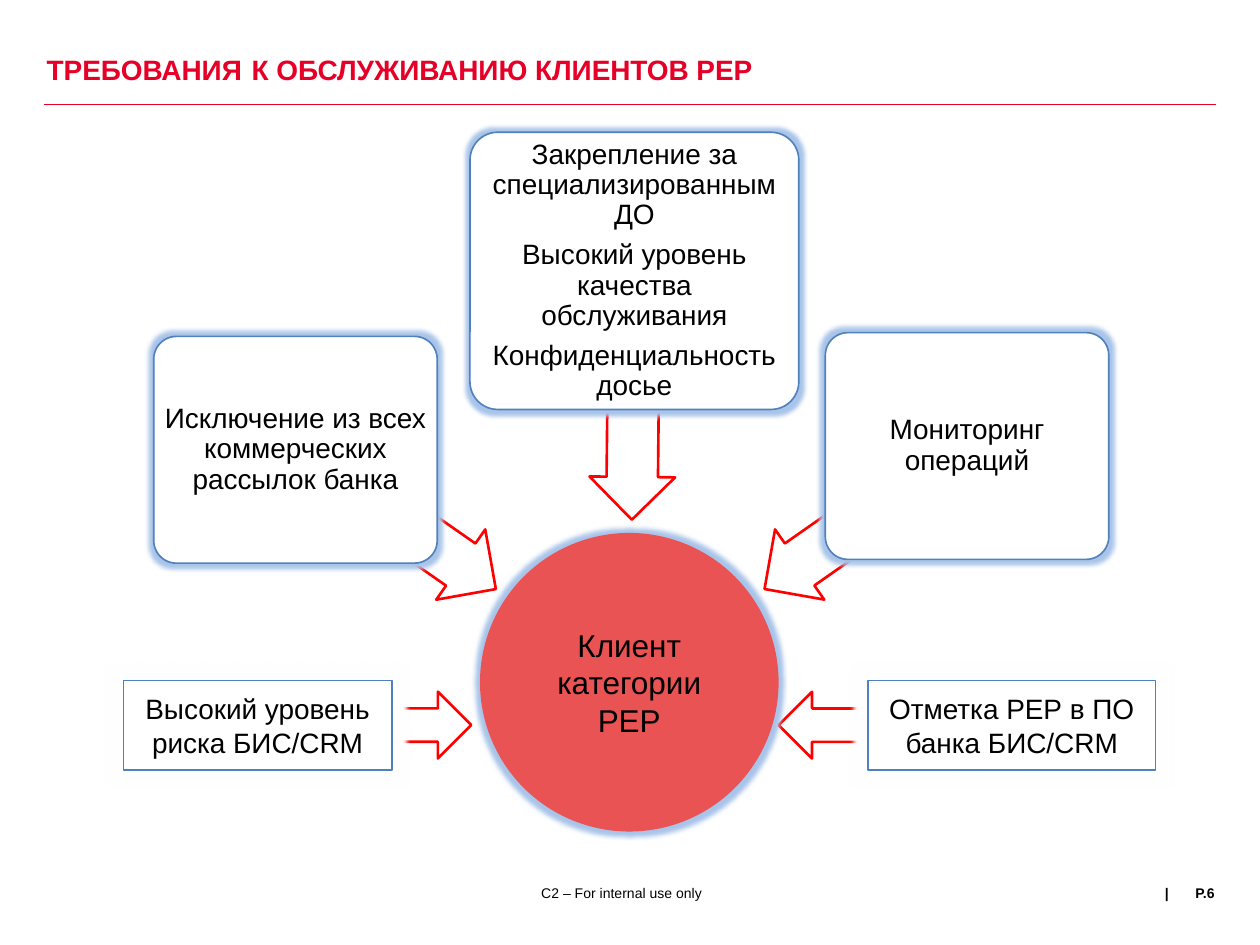
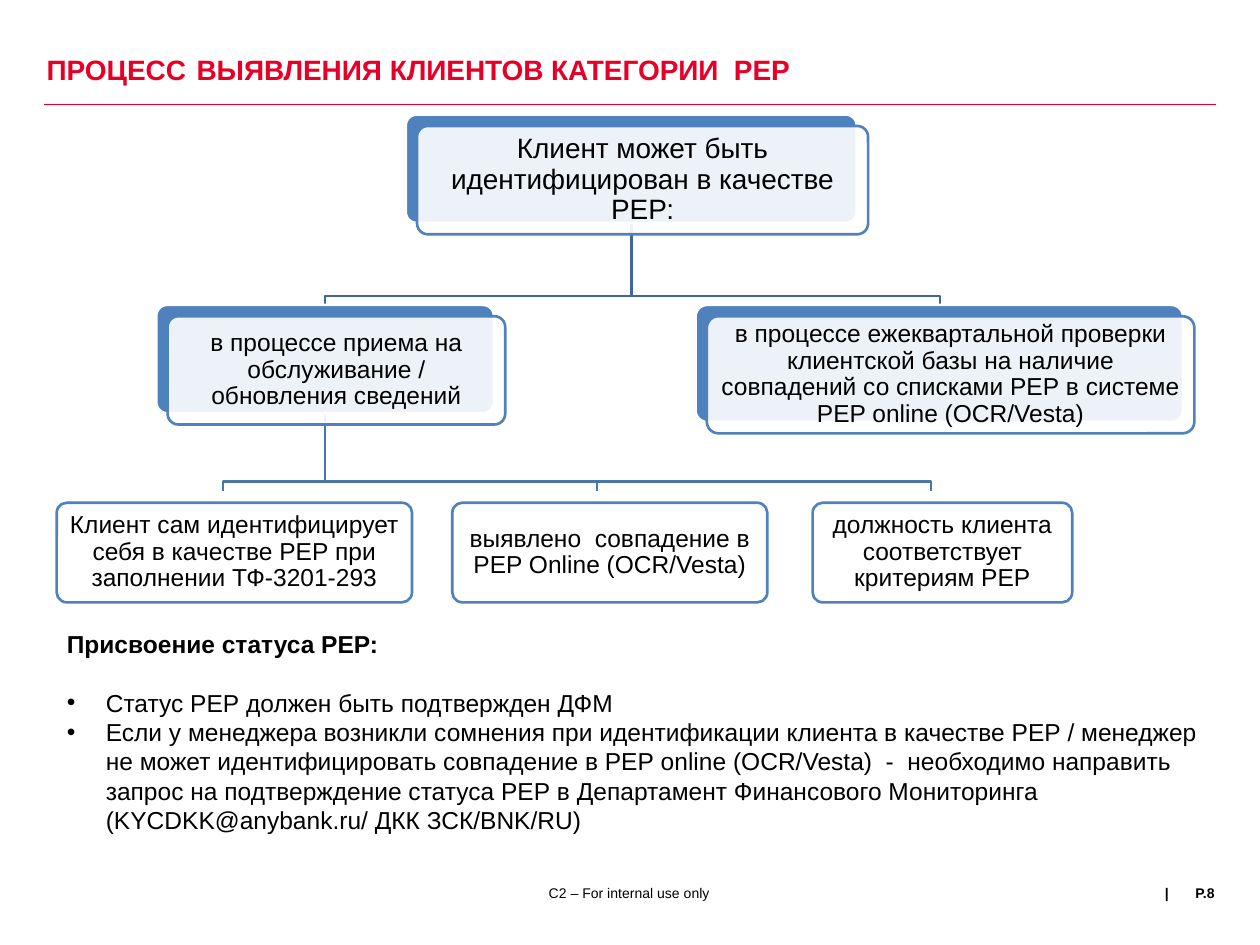
from dataclasses import dataclass

from lxml import etree
from pptx import Presentation
from pptx import util as u
from pptx.dml import color
from pptx.enum import shapes, text
from pptx.oxml import ns

SHAPE = shapes.MSO_SHAPE
ALIGN = text.PP_ALIGN
ANCHOR = text.MSO_ANCHOR


@dataclass(frozen=True)
class Theme:
    font: str = "Arial"
    red: str = "E60028"
    arrow_red: str = "FF0000"
    client_red: str = "E95353"
    blue: str = "4F81BD"
    trunk_blue: str = "3F6797"
    branch_blue: str = "4875AC"
    glow_blue: str = "A9C4E9"
    white: str = "FFFFFF"
    black: str = "000000"
    title_size: float = 16
    title_gap_size: float = 24
    client_size: float = 18
    large_size: float = 16
    body_size: float = 14
    footer_size: float = 8
    thin: float = 0.94
    thick: float = 1.5


THEME = Theme()


def rgb(value):
    return color.RGBColor.from_string(value)


def add_xml(parent, tag, **attributes):
    return etree.SubElement(parent, ns.qn(tag), **attributes)


def place(shape, left, top, width, height):
    shape.left, shape.top = u.Inches(left), u.Inches(top)
    shape.width, shape.height = u.Inches(width), u.Inches(height)


def add_run(paragraph, content, size, ink=THEME.black, bold=False, font=THEME.font):
    run = paragraph.add_run()
    run.text = content
    run.font.name, run.font.size, run.font.bold = font, u.Pt(size), bold
    run.font.color.rgb = rgb(ink)


def write_text(frame, *lines, size=THEME.body_size, ink=THEME.black, bold=False,
               align=ALIGN.CENTER, anchor=ANCHOR.MIDDLE, inset=(0, 0),
               spacing=1.0, gap=0, wrap=True):
    """Fill a frame, one paragraph a line, with gap points between paragraphs."""
    frame.word_wrap = wrap
    frame.auto_size = text.MSO_AUTO_SIZE.NONE
    frame.vertical_anchor = anchor
    frame.margin_left = frame.margin_right = u.Inches(inset[0])
    frame.margin_top = frame.margin_bottom = u.Inches(inset[1])
    for index, line in enumerate(lines):
        paragraph = frame.add_paragraph() if index else frame.paragraphs[0]
        paragraph.alignment, paragraph.line_spacing = align, spacing
        paragraph.space_before = u.Pt(0)
        paragraph.space_after = u.Pt(gap if index < len(lines) - 1 else 0)
        add_run(paragraph, line, size, ink, bold)


def set_bullet(paragraph, indent=0.31):
    properties = paragraph._p.get_or_add_pPr()
    properties.set("marL", str(u.Inches(indent)))
    properties.set("indent", str(-u.Inches(indent)))
    add_xml(properties, "a:buFont", typeface=THEME.font)
    add_xml(properties, "a:buChar", char="•")


def clear_bullet(paragraph):
    properties = paragraph._p.get_or_add_pPr()
    properties.set("marL", "0")
    properties.set("indent", "0")
    add_xml(properties, "a:buNone")


class Deck:
    def __init__(self, theme):
        self.theme = theme
        self.presentation = Presentation()
        self.presentation.slide_width = u.Inches(10)
        self.presentation.slide_height = u.Inches(7.5)
        self.slide = None

    def start_slide(self, layout, first_word, rest, gap_font, page, footer_left):
        """Add a slide with its title, red rule and footer."""
        theme = self.theme
        self.slide = self.presentation.slides.add_slide(
            self.presentation.slide_layouts[layout])
        self.rule(0.35, 9.65, 0.83)
        title = self.slide.shapes.title
        place(title, 0.37, 0.28, 8.56, 0.55)
        write_text(title.text_frame, first_word, size=theme.title_size, ink=theme.red,
                   bold=True, align=ALIGN.LEFT, spacing=0.7)
        paragraph = title.text_frame.paragraphs[0]
        add_run(paragraph, " ", theme.title_gap_size, theme.blue, True, gap_font)
        add_run(paragraph, rest, theme.title_size, theme.red, True)
        self.footer("|", 9.22, 0.08, bold=True, wrap=False)
        self.footer(page, 9.25, 0.39, bold=True, align=ALIGN.RIGHT)
        self.footer("C2 – For internal use only", footer_left, 3.93)

    def footer(self, content, left, width, **style):
        box = self.slide.shapes.add_textbox(0, 0, 0, 0)
        place(box, left, 7.02, width, 0.48)
        write_text(box.text_frame, content, size=self.theme.footer_size,
                   anchor=ANCHOR.TOP, **style)

    def rule(self, left, right, top):
        line = self.slide.shapes.add_connector(
            shapes.MSO_CONNECTOR.STRAIGHT,
            u.Inches(right), u.Inches(top), u.Inches(left), u.Inches(top))
        line.line.color.rgb = rgb(self.theme.red)
        line.line.width = u.Pt(0.5)
        add_xml(line._element.spPr, "a:effectLst")

    def shape(self, kind, bounds, fill=THEME.white, line=None, width=THEME.thick,
              adjustments=(), rotation=0, opacity=100, glow=None):
        shape = self.slide.shapes.add_shape(kind, 0, 0, 0, 0)
        place(shape, *bounds)
        shape.rotation = rotation
        for index, value in enumerate(adjustments):
            shape.adjustments[index] = value
        shape.fill.solid()
        shape.fill.fore_color.rgb = rgb(fill)
        if opacity < 100:
            fill_color = shape._element.spPr.find(ns.qn("a:solidFill"))[0]
            add_xml(fill_color, "a:alpha", val=str(opacity * 1000))
        if line:
            shape.line.color.rgb = rgb(line)
            shape.line.width = u.Pt(width)
        else:
            shape.line.fill.background()
        shape.shadow.inherit = False
        if glow:
            effects = shape._element.spPr.find(ns.qn("a:effectLst"))
            halo = add_xml(effects, "a:glow", rad=str(u.Inches(0.07)))
            add_xml(halo, "a:srgbClr", val=glow)
        return shape

    def arrow(self, kind, bounds, rotation=0, adjustments=()):
        self.shape(kind, bounds, line=self.theme.arrow_red, rotation=rotation,
                   adjustments=adjustments)

    def requirement(self, bounds, *lines):
        """Draw a glowing rounded box with centred text."""
        box = self.shape(SHAPE.ROUNDED_RECTANGLE, bounds, line=self.theme.blue,
                         width=self.theme.thin, adjustments=[0.1],
                         glow=self.theme.glow_blue)
        write_text(box.text_frame, *lines, size=self.theme.large_size,
                   inset=(0.03, 0.03), spacing=0.9, gap=5.6)

    def label(self, bounds, content):
        box = self.shape(SHAPE.RECTANGLE, bounds, line=self.theme.blue,
                         width=self.theme.thin, glow=self.theme.white)
        write_text(box.text_frame, content, size=self.theme.large_size, inset=(0.1, 0.05))

    def card(self, bounds, content, size=THEME.body_size, inset=0.06, backed=True):
        """Draw a tree node; a backed one has a blue plate behind it."""
        left, top, width, height = bounds
        if backed:
            self.shape(SHAPE.ROUNDED_RECTANGLE, (left - 0.09, top - 0.09, width, height),
                       fill=self.theme.blue, line=self.theme.white, adjustments=[0.1])
        front = self.shape(SHAPE.ROUNDED_RECTANGLE, bounds, line=self.theme.blue,
                           adjustments=[0.1], opacity=90)
        write_text(front.text_frame, content, size=size, inset=(inset, inset), spacing=0.9)

    def branch(self, start, end, ink):
        """Draw a bent line that turns shortly above its end."""
        turn = end[1] - 0.08
        points = [(start[0], turn), (end[0], turn), end]
        builder = self.slide.shapes.build_freeform(*map(u.Inches, start))
        builder.add_line_segments([tuple(map(u.Inches, point)) for point in points],
                                  close=False)
        line = builder.convert_to_shape()
        line.fill.background()
        line.line.color.rgb = rgb(ink)
        line.line.width = u.Pt(self.theme.thick)
        line.shadow.inherit = False

    def bullets(self, bounds, heading, *items):
        body = self.slide.placeholders[1]
        place(body, *bounds)
        write_text(body.text_frame, heading, *items, size=self.theme.body_size,
                   align=ALIGN.LEFT, anchor=ANCHOR.TOP, inset=(0.1, 0.05))
        first, *others = body.text_frame.paragraphs
        first.runs[0].font.bold = True
        first.space_after = u.Pt(self.theme.body_size * 1.2)
        clear_bullet(first)
        for paragraph in others:
            set_bullet(paragraph)


def build_requirements(deck):
    theme = deck.theme
    deck.start_slide(5, "ТРЕБОВАНИЯ", "К ОБСЛУЖИВАНИЮ КЛИЕНТОВ РЕР", "Arial Narrow",
                     "P.6", 2.97)
    for left, rotation in ((2.95, 0), (6.18, 180)):
        deck.arrow(SHAPE.RIGHT_ARROW, (left, 5.49, 0.79, 0.53), rotation)

    client = deck.shape(SHAPE.OVAL, (3.81, 4.23, 2.37, 2.37), fill=theme.client_red,
                        glow=theme.glow_blue)
    write_text(client.text_frame, "Клиент категории РЕР", size=theme.client_size,
               inset=(0.01, 0.01))

    requirements = (
        ((2.17, 3.78, 1.94, 0.68), 214.9, (1.22, 2.67, 2.25, 1.8),
         ["Исключение из всех коммерческих рассылок банка"]),
        ((4.04, 2.8, 1.97, 0.68), 270.6, (3.73, 1.05, 2.61, 2.2),
         ["Закрепление за специализированным ДО",
          "Высокий уровень качества обслуживания",
          "Конфиденциальность досье"]),
        ((5.89, 3.77, 1.97, 0.68), 325, (6.55, 2.64, 2.25, 1.8),
         ["Мониторинг операций"]),
    )
    for arrow_bounds, rotation, box_bounds, lines in requirements:
        deck.arrow(SHAPE.LEFT_ARROW, arrow_bounds, rotation, [0.6, 0.5])
        deck.requirement(box_bounds, *lines)

    deck.label((0.98, 5.4, 2.13, 0.71), "Высокий уровень риска БИС/CRM")
    deck.label((6.89, 5.4, 2.28, 0.71), "Отметка РЕР в ПО банка БИС/CRM")


def build_process(deck):
    theme = deck.theme
    deck.start_slide(1, "ПРОЦЕСС", "ВЫЯВЛЕНИЯ КЛИЕНТОВ КАТЕГОРИИ  РЕР", "Times New Roman",
                     "P.8", 3.03)
    deck.bullets(
        (0.43, 4.94, 9.21, 1.88),
        "Присвоение статуса РЕР:",
        "Статус РЕР должен быть подтвержден ДФМ",
        "Если у менеджера возникли сомнения при идентификации клиента в качестве РЕР / "
        "менеджер не может идентифицировать совпадение в РЕР online (OCR/Vesta)  -  "
        "необходимо направить запрос на подтверждение статуса РЕР в Департамент "
        "Финансового Мониторинга (KYCDKK@anybank.ru/ ДКК ЗСК/BNK/RU)")

    for child in (7.46, 2.58):
        deck.branch((5.01, 1.77), (child, 2.43), theme.trunk_blue)
    for child in (7.39, 4.74, 1.77):
        deck.branch((2.58, 3.28), (child, 3.9), theme.branch_blue)

    deck.card((3.31, 1, 3.58, 0.86), "Клиент может быть идентифицирован в качестве РЕР:",
              size=theme.large_size, inset=0.07)
    deck.card((1.33, 2.51, 2.68, 0.86),
              "в процессе приема на обслуживание / обновления сведений")
    deck.card((5.61, 2.51, 3.87, 0.93),
              "в процессе ежеквартальной проверки клиентской базы на наличие "
              "совпадений со списками РЕР в системе PEP online (OCR/Vesta)")
    causes = (
        (0.45, 2.82, "Клиент сам идентифицирует себя в качестве РЕР при заполнении ТФ-3201-293"),
        (3.59, 2.5, "выявлено  совпадение в PEP Online (OCR/Vesta)"),
        (6.45, 2.06, "должность клиента соответствует критериям РЕР"),
    )
    for left, width, content in causes:
        deck.card((left, 3.99, width, 0.79), content, backed=False)


def main():
    deck = Deck(THEME)
    build_requirements(deck)
    build_process(deck)
    deck.presentation.save("out.pptx")


if __name__ == "__main__":
    main()
